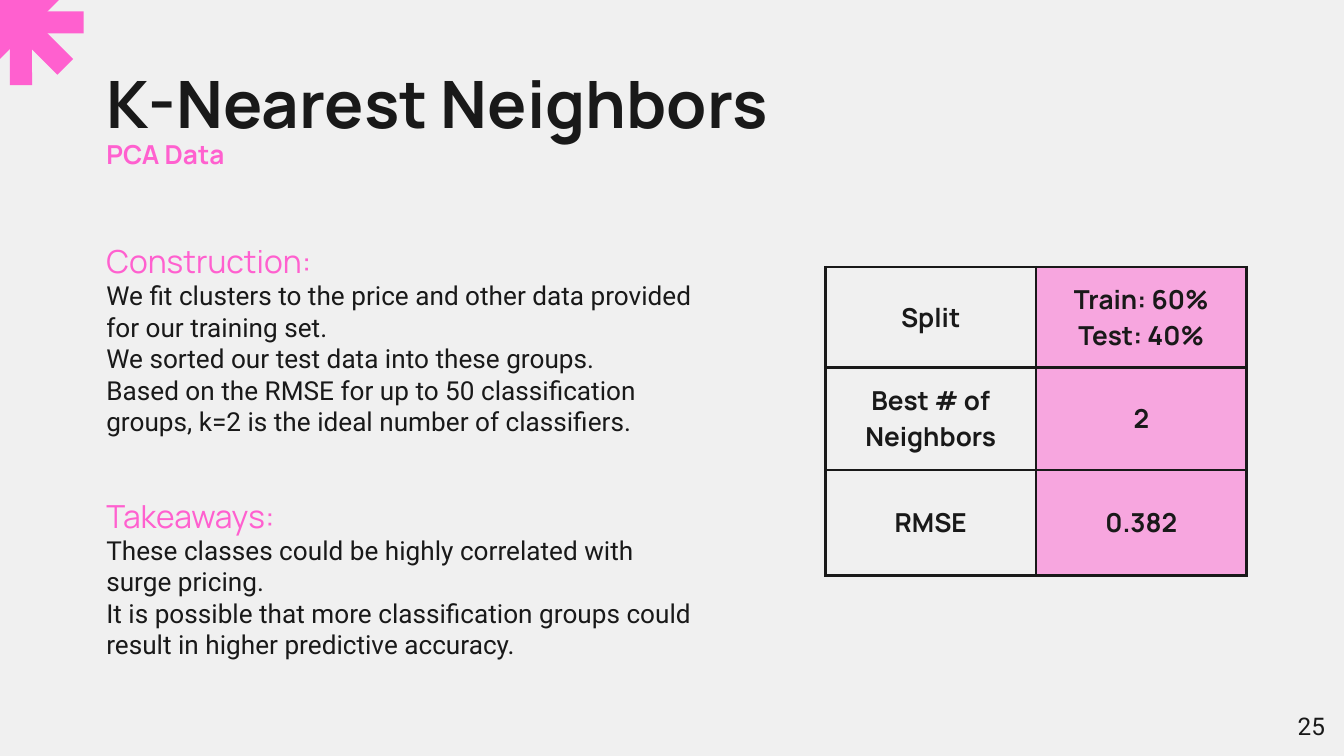
"""Build the K-Nearest Neighbors results slide."""
from lxml.etree import SubElement
from pptx import Presentation
from pptx.dml.color import RGBColor
from pptx.enum.shapes import MSO_SHAPE
from pptx.enum.text import MSO_ANCHOR, MSO_AUTO_SIZE, PP_ALIGN
from pptx.oxml import parse_xml
from pptx.oxml.ns import nsdecls, qn
from pptx.util import Cm, Pt

COLORS = {"background": "F0F0F0", "ink": "191919", "pink": "FF60CF"}
FORMATS = {
    "title": {"name": "Manrope", "size": Pt(35), "bold": True, "color": "ink"},
    "subtitle": {"name": "Manrope", "size": Pt(14), "bold": True, "color": "pink"},
    "heading": {"name": "Manrope", "size": Pt(17), "bold": False, "color": "pink"},
    "body": {"name": "Roboto", "size": Pt(14), "bold": False, "color": "ink"},
    "cell": {"name": "Manrope", "size": Pt(14), "bold": True, "color": "ink"},
    "number": {"name": "Roboto", "size": Pt(13), "bold": False, "color": "ink"},
}
MARGINS = ("margin_left", "margin_top", "margin_right", "margin_bottom")
LEFT = 2.01
SECTIONS = {
    "Construction:": [
        "We fit clusters to the price and other data provided for our training set.",
        "We sorted our test data into these groups.",
        "Based on the RMSE for up to 50 classification groups, "
        "k=2 is the ideal number of classifiers.",
    ],
    "Takeaways:": [
        "These classes could be highly correlated with surge pricing.",
        "It is possible that more classification groups could "
        "result in higher predictive accuracy.",
    ],
}
RESULTS = [
    ("Split", "Train: 60%\nTest: 40%"),
    ("Best # of Neighbors", "2"),
    ("RMSE", "0.382"),
]


class SlideBuilder:
    """Hold the style and the current slide, and add elements to it."""

    def __init__(self, presentation):
        self.slide = presentation.slides.add_slide(presentation.slide_layouts[5])
        fill = self.slide.background.fill
        fill.solid()
        fill.fore_color.rgb = self.color("background")

    def color(self, name):
        return RGBColor.from_string(COLORS[name])

    def add_lines(self, frame, lines, align=PP_ALIGN.LEFT):
        for index, (text, style) in enumerate(lines):
            paragraph = frame.paragraphs[0] if index == 0 else frame.add_paragraph()
            paragraph.alignment = align
            if index and style == "heading":
                paragraph.space_before = Pt(32)
            run = paragraph.add_run()
            run.text = text
            for key, value in FORMATS[style].items():
                if key == "color":
                    run.font.color.rgb = self.color(value)
                else:
                    setattr(run.font, key, value)

    def fill_frame(self, shape, lines, margin, align, anchor):
        frame = shape.text_frame
        frame.word_wrap = True
        frame.auto_size = MSO_AUTO_SIZE.NONE
        frame.vertical_anchor = anchor
        for side in MARGINS:
            setattr(frame, side, Cm(margin))
        self.add_lines(frame, lines, align)

    def title(self, text, box):
        shape = self.slide.shapes.title
        for key, value in zip(("left", "top", "width", "height"), box):
            setattr(shape, key, Cm(value))
        self.fill_frame(shape, [(text, "title")], 0, PP_ALIGN.LEFT, MSO_ANCHOR.TOP)

    def text(self, lines, box, margin=0.25, align=PP_ALIGN.LEFT, anchor=MSO_ANCHOR.TOP):
        shape = self.slide.shapes.add_textbox(*map(Cm, box))
        self.fill_frame(shape, lines, margin, align, anchor)

    def star(self, left, top, size):
        for rotation in (0, 45):
            shape = self.slide.shapes.add_shape(
                MSO_SHAPE.MATH_MULTIPLY, Cm(left), Cm(top), Cm(size), Cm(size))
            shape.adjustments[0] = 0.13
            shape.rotation = rotation
            shape.shadow.inherit = False
            shape.fill.solid()
            shape.fill.fore_color.rgb = self.color("pink")
            shape.line.fill.background()

    def border(self, cell):
        properties = cell._tc.get_or_add_tcPr()
        for index, side in enumerate(("lnL", "lnR", "lnT", "lnB")):
            properties.insert(index, parse_xml(
                f'<a:{side} {nsdecls("a")} w="{Pt(1.5)}"><a:solidFill>'
                f'<a:srgbClr val="{COLORS["ink"]}"/></a:solidFill></a:{side}>'))

    def shade(self, cell, name, alpha):
        cell.fill.solid()
        cell.fill.fore_color.rgb = self.color(name)
        color = cell._tc.tcPr.find(f"{qn('a:solidFill')}/{qn('a:srgbClr')}")
        SubElement(color, qn("a:alpha"), val=str(alpha * 1000))

    def table(self, rows, left, top, widths, heights):
        table = self.slide.shapes.add_table(
            len(rows), len(widths), Cm(left), Cm(top),
            Cm(sum(widths)), Cm(sum(heights))).table
        table.first_row = table.horz_banding = False
        for column, width in zip(table.columns, widths):
            column.width = Cm(width)
        for row, height, texts in zip(table.rows, heights, rows):
            row.height = Cm(height)
            for index, (cell, text) in enumerate(zip(row.cells, texts)):
                for side in MARGINS:
                    setattr(cell, side, 0)
                cell.vertical_anchor = MSO_ANCHOR.MIDDLE
                lines = [(line, "cell") for line in text.split("\n")]
                self.add_lines(cell.text_frame, lines, PP_ALIGN.CENTER)
                if index == 1:
                    self.shade(cell, "pink", 51)
                else:
                    cell.fill.background()
                self.border(cell)


def main():
    presentation = Presentation()
    presentation.slide_width, presentation.slide_height = Cm(25.4), Cm(14.29)
    builder = SlideBuilder(presentation)
    builder.star(-1.22, -1.19, 3.23)
    builder.title("K-Nearest Neighbors", (LEFT, 1.19, 21.41, 1.27))
    builder.text([("PCA Data", "subtitle")], (LEFT, 2.62, 21.41, 1.09), margin=0)
    lines = []
    for heading, sentences in SECTIONS.items():
        lines.append((heading, "heading"))
        lines.extend((sentence, "body") for sentence in sentences)
    builder.text(lines, (LEFT - 0.25, 4.32, 11.66, 8.56))
    builder.table(RESULTS, 15.6, 5.05, (3.98, 3.98), (1.9, 1.93, 2))
    builder.text([("25", "number")], (23.77, 13.18, 1.52, 1.09),
                 align=PP_ALIGN.RIGHT, anchor=MSO_ANCHOR.MIDDLE)
    presentation.save("out.pptx")


if __name__ == "__main__":
    main()
